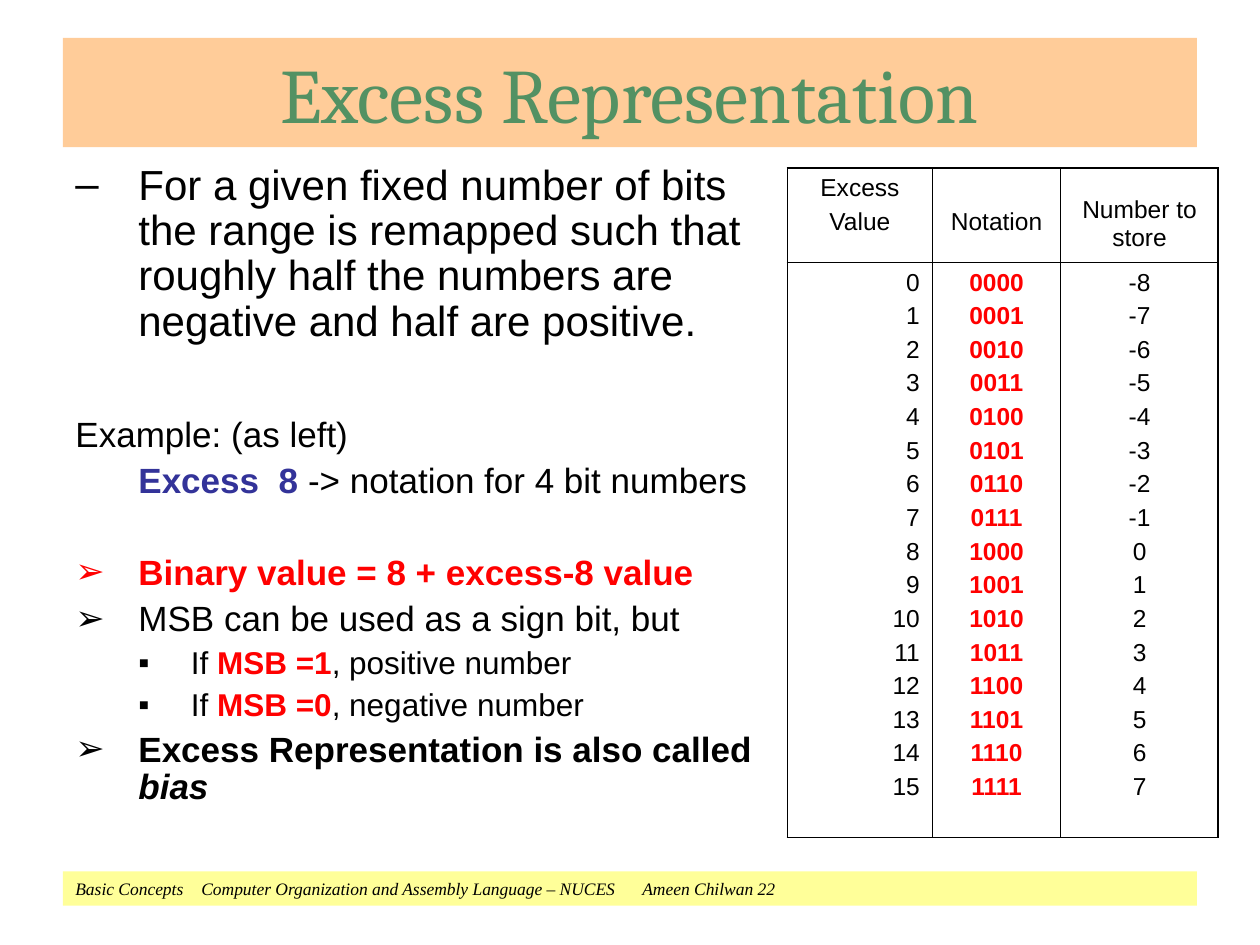
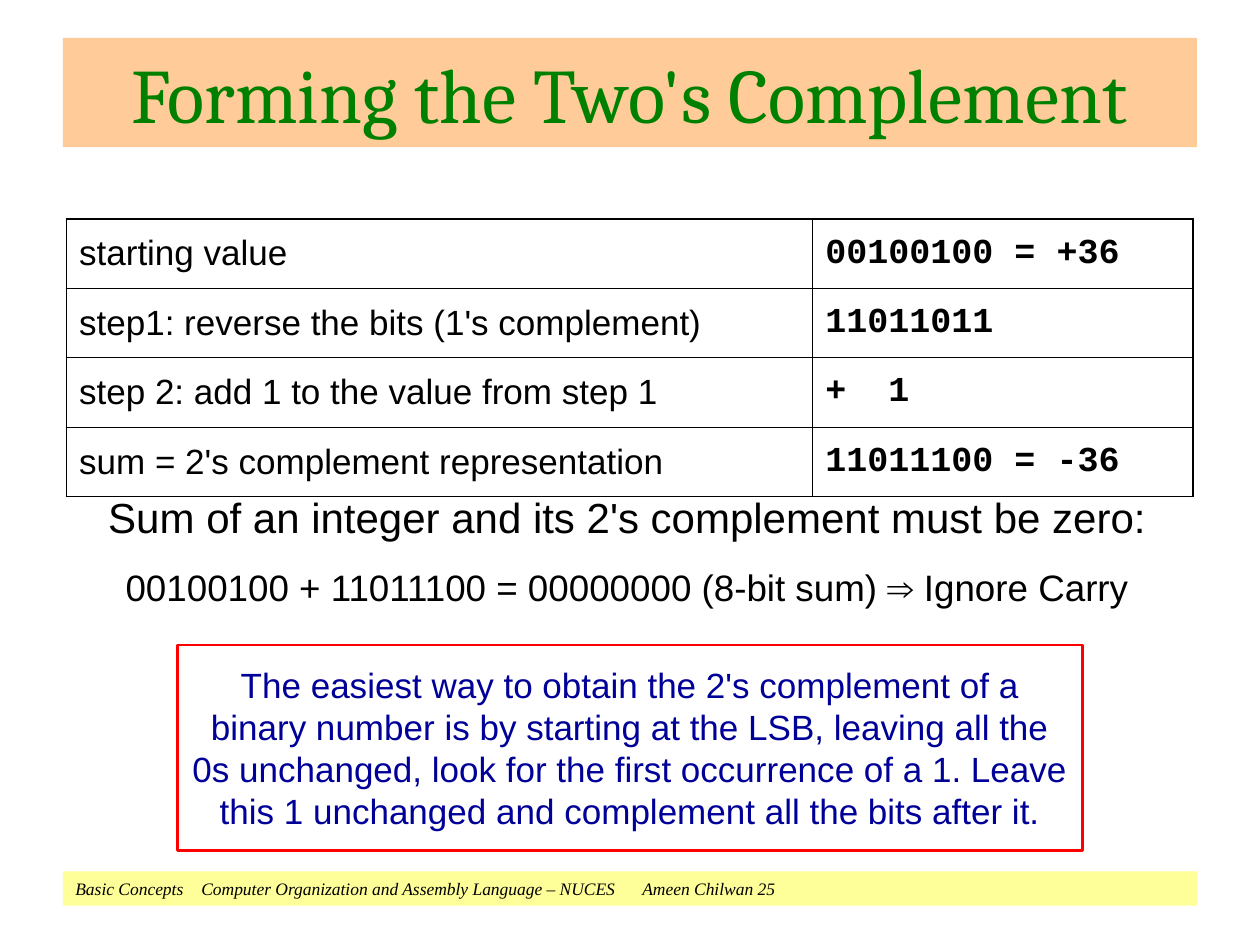
from collections import namedtuple

from lxml.etree import SubElement as add_node
from pptx import Presentation
from pptx.dml.color import RGBColor
from pptx.enum.shapes import MSO_SHAPE as Preset
from pptx.enum.text import MSO_ANCHOR as Anchor, PP_ALIGN as Align
from pptx.oxml.ns import qn
from pptx.util import Pt

Box = namedtuple("Box", "left top width height")

PAGE = Box(0, 0, 720, 540)
BLACK, RED, NAVY, INDIGO = "000000", "FF0000", "000099", "333399"
TITLE_BAND, FOOTER_BAND = "FFCC99", "FFFF99"
OUTER_LINE, INNER_LINE = 1.08, 0.45
BAND_MARGIN = 36


def color(code):
    return RGBColor.from_string(code)


def lengths(box):
    return [Pt(value) for value in box]


def within(box, left, top, width, height):
    return Box(box.left + left, box.top + top, width, height)


def style(font, size, name, ink, bold, italic):
    font.size, font.name = Pt(size), name
    font.bold, font.italic = bold, italic
    font.color.rgb = color(ink)


def write(frame, text, size=20, name="Arial", ink=BLACK, bold=False, italic=False,
          align=Align.LEFT, before=0, spacing=None, indent=0, hanging=0,
          bullet=None, bullet_ink=BLACK, tabs=()):
    first = frame.paragraphs[0]
    para = frame.add_paragraph() if first.runs else first
    properties = para._p.get_or_add_pPr()
    properties.set("marL", str(Pt(indent)))
    properties.set("indent", str(Pt(-hanging)))
    if bullet:
        tint = add_node(properties, qn("a:buClr"))
        add_node(tint, qn("a:srgbClr"), val=bullet_ink)
        add_node(properties, qn("a:buFont"), typeface="Arial")
        add_node(properties, qn("a:buChar"), char=bullet)
    if tabs:
        stops = add_node(properties, qn("a:tabLst"))
        for stop in tabs:
            add_node(stops, qn("a:tab"), pos=str(Pt(stop)), algn="l")
    para.alignment = align
    para.space_before = Pt(before)
    if spacing:
        para.line_spacing = spacing
    parts = [(text, {})] if isinstance(text, str) else text
    for words, changes in parts:
        span = para.add_run()
        span.text = words
        look = dict(size=size, name=name, ink=ink, bold=bold, italic=italic)
        style(span.font, **{**look, **changes})


def set_frame(frame, anchor=Anchor.TOP, inset=3.6):
    frame.word_wrap = True
    frame.vertical_anchor = anchor
    frame.margin_left = frame.margin_right = Pt(7.2)
    frame.margin_top = frame.margin_bottom = Pt(inset)
    return frame


def add_panel(page, box, fill=None, line=None, **framing):
    shape = page.shapes.add_shape(Preset.RECTANGLE, *lengths(box))
    shape.shadow.inherit = False
    if fill:
        shape.fill.solid()
        shape.fill.fore_color.rgb = color(fill)
    else:
        shape.fill.background()
    if line:
        shape.line.color.rgb = color(line)
        shape.line.width = Pt(1.5)
    else:
        shape.line.fill.background()
    return set_frame(shape.text_frame, **framing)


def add_text(page, box, **framing):
    return set_frame(page.shapes.add_textbox(*lengths(box)).text_frame, **framing)


def add_borders(cell, outer_sides):
    properties = cell._tc.get_or_add_tcPr()
    for side in "LRTB":
        width = OUTER_LINE if side in outer_sides else INNER_LINE
        line = add_node(properties, qn(f"a:ln{side}"), w=str(Pt(width)))
        fill = add_node(line, qn("a:solidFill"))
        add_node(fill, qn("a:srgbClr"), val=BLACK)


def add_grid(page, box, widths, heights):
    rows, columns = len(heights), len(widths)
    table = page.shapes.add_table(rows, columns, *lengths(box)).table
    table.first_row = table.horz_banding = False
    for column, width in zip(table.columns, widths):
        column.width = Pt(width)
    for row, height in zip(table.rows, heights):
        row.height = Pt(height)
    for r in range(rows):
        for c in range(columns):
            edges = {"L": c == 0, "R": c == columns - 1, "T": r == 0, "B": r == rows - 1}
            cell = table.cell(r, c)
            add_borders(cell, [side for side, outer in edges.items() if outer])
            cell.fill.background()
    return table


def add_title(page, box, title, ink):
    frame = add_panel(page, box, fill=TITLE_BAND, anchor=Anchor.MIDDLE)
    write(frame, title, size=44, name="Cambria", ink=ink, align=Align.CENTER)


def add_footer(page, box, number):
    frame = add_panel(page, box, fill=FOOTER_BAND)
    words = ["Basic Concepts", "Computer Organization and Assembly Language – NUCES",
             f"Ameen Chilwan {number}"]
    write(frame, "\t".join(words), size=10, name="Times New Roman", italic=True,
          tabs=(72, 360))


def add_page(deck, title, ink, number):
    page = deck.slides.add_slide(deck.slide_layouts[6])
    band = PAGE.width - 2 * BAND_MARGIN
    add_footer(page, within(PAGE, BAND_MARGIN, 498, band, 19.6), number)
    add_title(page, within(PAGE, BAND_MARGIN, 21.6, band, 62.6), title, ink)
    return page


def add_excess_notes(page, box):
    frame = add_text(page, box)
    hung = dict(indent=72, hanging=36, spacing=0.9)
    arrow = dict(hung, bullet="➢", before=5)
    square = dict(size=18, indent=102, hanging=30, spacing=0.9, before=4.5, bullet="▪")
    strong = dict(ink=RED, bold=True)
    write(frame, "For a given fixed number of bits the range is remapped such that "
          "roughly half the numbers are negative and half are positive.",
          size=24, bullet="–", **hung)
    write(frame, "Example: (as left)", before=41, **hung)
    write(frame, [("Excess  8 ", dict(ink=INDIGO, bold=True)),
                  ("-> notation for 4 bit numbers", {})],
          indent=72, spacing=0.9, before=5)
    write(frame, "Binary value = 8 + excess-8 value", bullet_ink=RED,
          **strong, **{**arrow, "before": 30.7})
    write(frame, "MSB can be used as a sign bit, but", **arrow)
    for bit, sign in ((1, "positive"), (0, "negative")):
        write(frame, [("If ", {}), (f"MSB ={bit}", strong), (f", {sign} number", {})],
              **square)
    write(frame, [("Excess Representation is also called ", {}),
                  ("bias", dict(italic=True))], bold=True, **arrow)


def add_excess_table(page, box):
    table = add_grid(page, box, (82.8, 73.4, 90), (54, 328.3))
    headings = ((3.6, ["Excess", "Value"]), (23.2, ["Notation"]),
                (16.3, ["Number to store"]))
    values = range(16)
    columns = (([str(value) for value in values], dict(align=Align.RIGHT)),
               ([f"{value:04b}" for value in values],
                dict(align=Align.CENTER, ink=RED, bold=True)),
               ([str(value - 8) for value in values], dict(align=Align.CENTER)))
    for c, ((inset, heading), (entries, look)) in enumerate(zip(headings, columns)):
        top = table.cell(0, c)
        top.margin_top = Pt(inset)
        blocks = ((top, heading, dict(align=Align.CENTER)), (table.cell(1, c), entries, look))
        for cell, lines, form in blocks:
            for index, line in enumerate(lines):
                write(cell.text_frame, line, size=14, before=3.5 if index else 0, **form)


def add_steps_table(page, box):
    steps = (("starting value", "00100100 = +36"),
             ("step1: reverse the bits (1's complement)", "11011011"),
             ("step 2: add 1 to the value from step 1", "+\t1"),
             ("sum = 2's complement representation", "11011100 = -36"))
    label_width = 426.4
    table = add_grid(page, box, (label_width, box.width - label_width),
                     [box.height / len(steps)] * len(steps))
    for r, (label, bits) in enumerate(steps):
        for c, text in enumerate((label, bits)):
            cell = table.cell(r, c)
            cell.vertical_anchor = Anchor.MIDDLE
            look = dict(name="Courier New", bold=True) if c else {}
            write(cell.text_frame, text, tabs=(84,) if "\t" in text else (), **look)


def add_zero_sum(page, box):
    frame = add_text(page, box, inset=10.8)
    write(frame, "Sum of an integer and its 2's complement must be zero:",
          size=24, align=Align.CENTER)
    write(frame, "00100100 + 11011100 = 00000000 (8-bit sum) ⇒ Ignore Carry",
          size=21, align=Align.CENTER, before=13.1)


def add_shortcut(page, box):
    frame = add_panel(page, box, line=RED, inset=10.8)
    write(frame, "The easiest way to obtain the 2's complement of a binary number is by "
          "starting at the LSB, leaving all the 0s unchanged, look for the first "
          "occurrence of a 1. Leave this 1 unchanged and complement all the bits after it.",
          ink=NAVY, align=Align.CENTER)


def build_excess(deck):
    page = add_page(deck, "Excess Representation", "539163", 22)
    add_excess_notes(page, within(PAGE, 0, 90, 444, 386))
    add_excess_table(page, within(PAGE, 450, 96, 246.2, 382.3))


def build_complement(deck):
    page = add_page(deck, "Forming the Two's Complement", "008000", 25)
    add_zero_sum(page, within(PAGE, 48, 270, 620.6, 88.6))
    add_shortcut(page, within(PAGE, 101.5, 368.6, 517, 117.4))
    add_steps_table(page, within(PAGE, 38, 125.2, 643.8, 158.6))


def main():
    deck = Presentation()
    deck.slide_width, deck.slide_height = Pt(PAGE.width), Pt(PAGE.height)
    build_excess(deck)
    build_complement(deck)
    deck.save("out.pptx")


if __name__ == "__main__":
    main()
